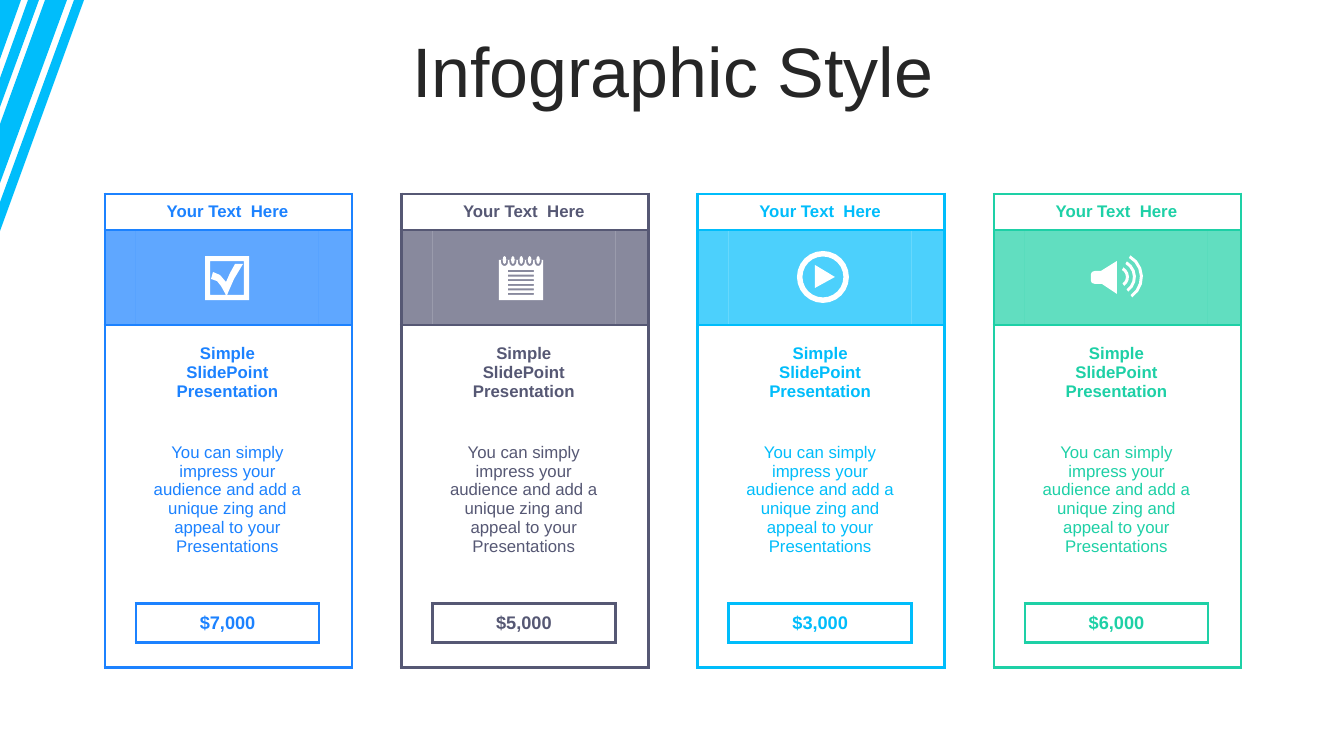
from math import cos, radians, sin

from lxml.etree import SubElement
from pptx import Presentation
from pptx.dml.color import RGBColor
from pptx.enum.text import MSO_ANCHOR as Anchor, MSO_AUTO_SIZE as Fit, PP_ALIGN as Align
from pptx.oxml.ns import qn
from pptx.util import Emu, Pt

PX = 914400 / 100.8
BLUE = RGBColor(0x1C, 0x82, 0xFF)
SLATE = RGBColor(0x56, 0x58, 0x74)
CYAN = RGBColor(0x00, 0xBD, 0xFB)
GREEN = RGBColor(0x1E, 0xD0, 0xA6)
DARK = RGBColor(0x26, 0x26, 0x26)
WHITE = RGBColor(0xFF, 0xFF, 0xFF)

TITLE = "Infographic Style"
HEAD = ["Your Text  Here"]
LEAD = ["Simple", "SlidePoint Presentation"]
BODY = ["You can simply impress your audience and add a unique zing "
        "and appeal to your Presentations"]
CARDS = [(BLUE, "$7,000"), (SLATE, "$5,000"), (CYAN, "$3,000"), (GREEN, "$6,000")]

FIRST, LAST, TOP = 105, 994, 194
COLS = [31, 183, 33]
ROWS = [36, 95, 95, 159, 25, 39, 25]
BAND, PRICE = 1, 5
NO_GRID = "{2D5ABB26-0587-4C30-8999-92F81FD0307C}"

STRIPES = [
    [(74, 0), (84, 0), (0, 231), (0, 202)],
    [(39, 0), (0, 107), (0, 78), (28, 0)],
    [(67, 0), (0, 183), (0, 124), (45, 0)],
    [(0, 0), (21, 0), (0, 59)],
]
TICK = [(226, 295), (221, 286), (217, 281), (211, 279), (213, 272), (220, 275),
        (226, 282), (230, 273), (235, 264), (243, 264), (234, 279), (227, 295)]
HORN = [(1117, 261), (1117, 294), (1102, 284), (1095, 284), (1092, 283), (1091, 281),
        (1091, 274), (1092, 272), (1095, 271), (1101, 271)]
ARROW = [(815, 265), (835, 277), (815, 288)]


def px(n):
    return Emu(round(n * PX))


def box(x, y, w, h):
    return [(x, y), (x + w, y), (x + w, y + h), (x, y + h)]


def arc(x, y, rx, ry, start=0, end=360, steps=6):
    """Points along an ellipse centred on x, y; angles in degrees."""
    turns = [radians(start + (end - start) * i / steps) for i in range(steps + 1)]
    return [(x + rx * cos(t), y + ry * sin(t)) for t in turns]


def ring(r):
    return arc(823, 277, r, r, steps=24)


def wave(r):
    """Curved sound band of outer radius r."""
    return arc(1118, 277, r, r, -60, 55) + arc(1118, 277, r - 3, r - 3, 55, -60)


def pad():
    """Outlines of a ring-bound notepad; overlapping parts cut holes."""
    parts = [box(499, 260, 44, 40)]
    for i in range(5):
        x = 504.5 + 8.4 * i
        parts += [[(x - 3.5, 260), (x + 3.5, 260)] + arc(x, 262, 3.5, 4, 0, 180),
                  arc(x, 260, 1.8, 4, steps=8)]
    return parts + [box(508, 270 + 23 * i / 5, 26, 2) for i in range(6)]


ICONS = [
    pad(),
    [box(205, 256, 44, 44), box(210, 261, 34, 34), TICK],
    [HORN] + [wave(r) for r in (11, 18, 25)],
    [ring(26), ring(20.5), ARROW],
]


def draw(shapes, parts, color):
    """Add one filled outline made of several closed parts."""
    pen = None
    for part in parts:
        (x, y), *rest = [(px(a), px(b)) for a, b in part]
        if pen:
            pen.move_to(x, y)
        else:
            pen = shapes.build_freeform(x, y)
        pen.add_line_segments(rest, close=True)
    form = pen.convert_to_shape()
    form.shadow.inherit = False
    form.fill.solid()
    form.fill.fore_color.rgb = color
    form.line.fill.background()


def put(frame, lines, size=12, color=DARK, bold=False, space=None):
    for i, line in enumerate(lines):
        para = frame.add_paragraph() if i else frame.paragraphs[0]
        para.alignment = Align.CENTER
        para.line_spacing = space
        run = para.add_run()
        run.text = line
        font = run.font
        font.name, font.size, font.bold = "Arial", Pt(size), bold
        font.color.rgb = color


def upright(row, edge):
    return edge in (0, len(COLS)) or row == PRICE


def level(edge, col):
    return edge in (0, 1, 2, len(ROWS)) or (col == 1 and edge in (PRICE, PRICE + 1))


def rule(cell, row, col, color):
    """Draw the borders that this cell of a card needs and clear the others."""
    sides = [("a:lnL", upright(row, col)), ("a:lnR", upright(row, col + 1)),
             ("a:lnT", level(row, col)), ("a:lnB", level(row + 1, col))]
    props = cell._tc.get_or_add_tcPr()
    for tag, shown in sides:
        line = SubElement(props, qn(tag), w=str(Pt(2.25)))
        if shown:
            fill = SubElement(line, qn("a:solidFill"))
            SubElement(fill, qn("a:srgbClr"), val=str(color))
        else:
            SubElement(line, qn("a:noFill"))


def card(shapes, left, color, price):
    frame = shapes.add_table(len(ROWS), len(COLS), px(left), px(TOP),
                             px(sum(COLS)), px(sum(ROWS)))
    table = frame.table
    table.first_row = table.horz_banding = False
    next(frame._element.iter(qn("a:tableStyleId"))).text = NO_GRID
    for col, w in enumerate(COLS):
        table.columns[col].width = px(w)
    texts = {0: (HEAD, 12, True), 2: (LEAD, 12, True),
             3: (BODY, 12, False), PRICE: ([price], 13, True)}
    for row, h in enumerate(ROWS):
        table.rows[row].height = px(h)
        for col in range(len(COLS)):
            cell = table.cell(row, col)
            cell.vertical_anchor = Anchor.MIDDLE
            cell.margin_left = cell.margin_right = px(8)
            cell.margin_top = cell.margin_bottom = px(4)
            rule(cell, row, col, color)
            cell.fill.solid()
            cell.fill.fore_color.rgb = color if row == BAND else WHITE
            if row == BAND:
                tint = cell._tc.tcPr.find(qn("a:solidFill"))[0]
                SubElement(tint, qn("a:alpha"), val="70000")
            if col == 1 and row in texts:
                lines, size, bold = texts[row]
                put(cell.text_frame, lines, size=size, color=color, bold=bold)
            else:
                para = cell.text_frame.paragraphs[0]
                SubElement(para._p, qn("a:endParaRPr"), sz="600")


def main():
    deck = Presentation()
    deck.slide_width, deck.slide_height = px(1344), px(756)
    slide = deck.slides.add_slide(deck.slide_layouts[5])
    shapes = slide.shapes
    draw(shapes, STRIPES, CYAN)

    title = shapes.title
    title.left, title.top, title.width, title.height = map(px, (35, 37, 1276, 80))
    frame = title.text_frame
    frame.auto_size, frame.word_wrap = Fit.NONE, True
    frame.vertical_anchor = Anchor.MIDDLE
    put(frame, [TITLE], size=50, space=0.8)

    step = (LAST - FIRST) / (len(CARDS) - 1)
    for i, (color, price) in enumerate(CARDS):
        card(shapes, FIRST + i * step, color, price)
    for icon in ICONS:
        draw(shapes, icon, WHITE)
    deck.save("out.pptx")


if __name__ == "__main__":
    main()
